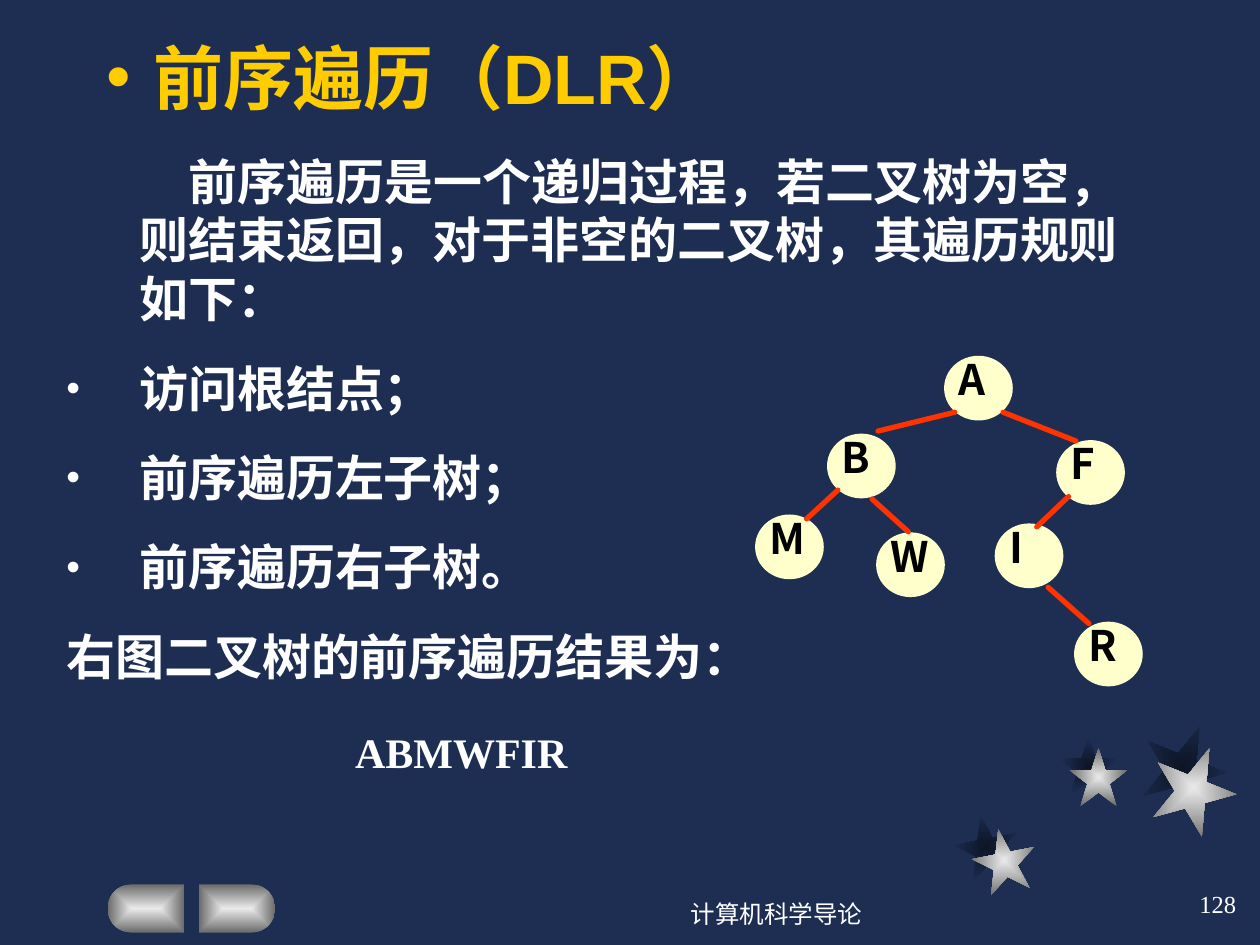
from math import cos, pi, sin

from lxml.etree import SubElement
from pptx import Presentation
from pptx.dml.color import RGBColor
from pptx.enum.shapes import MSO_CONNECTOR, MSO_SHAPE
from pptx.enum.text import MSO_ANCHOR, PP_ALIGN
from pptx.oxml import parse_xml
from pptx.oxml.ns import nsdecls, qn
from pptx.util import Cm, Pt

NAVY, WHITE, GOLD = "1E2E53", "FFFFFF", "FFCC00"
CREAM, RED, BLACK = "FFFFCC", "FF3300", "000000"
SHADE, SILVER = ("0D1526", NAVY), ("EAEAEA", "6B6B6B")
HAN = "Noto Sans CJK SC"
SERIF = "Times New Roman"


def color(code):
    return RGBColor.from_string(code)


def style(para, size, font, code, bold=False):
    for run in para.runs:
        run.font.size = Pt(size)
        run.font.name = font
        run.font.bold = bold
        run.font.color.rgb = color(code)


def indent(para, left, first, code=None, scale=100):
    """Set the margins and, when a colour is given, a bullet."""
    props = para._p.get_or_add_pPr()
    props.set("marL", str(Cm(left)))
    props.set("indent", str(Cm(first)))
    if not code:
        SubElement(props, qn("a:buNone"))
        return
    tint = SubElement(props, qn("a:buClr"))
    SubElement(tint, qn("a:srgbClr"), val=code)
    SubElement(props, qn("a:buSzPct"), val=str(scale * 1000))
    SubElement(props, qn("a:buFont"), typeface="Arial")
    SubElement(props, qn("a:buChar"), char="•")


def glow(shape, inner, outer):
    """Fill from the centre outwards, without line or shadow."""
    shape.shadow.inherit = False
    shape.fill.background()
    shape.line.fill.background()
    old = shape._element.spPr.find(qn("a:noFill"))
    stops = "".join(
        f'<a:gs pos="{pos}"><a:srgbClr val="{code}"/></a:gs>'
        for pos, code in ((0, inner), (100000, outer)))
    old.getparent().replace(old, parse_xml(
        f'<a:gradFill {nsdecls("a")} rotWithShape="1"><a:gsLst>{stops}</a:gsLst>'
        '<a:path path="rect"><a:fillToRect l="50000" t="50000" r="50000" b="50000"/>'
        '</a:path></a:gradFill>'))


def label(shapes, box, text, size, font, code, bold=False,
          align=PP_ALIGN.LEFT, anchor=MSO_ANCHOR.TOP, wrap=True):
    frame = shapes.add_textbox(*map(Cm, box)).text_frame
    frame.word_wrap = wrap
    frame.vertical_anchor = anchor
    frame.text = text
    para = frame.paragraphs[0]
    para.alignment = align
    style(para, size, font, code, bold)
    return frame


def add_stars(slide, left, top):
    shapes = slide.shapes.add_group_shape().shapes
    # Each star: size, turn, place of its shadow, place of its face
    stars = [(1.27, 349, (0, 1.83), (0.36, 2.11)),
             (1.17, 0, (2.11, 0.25), (2.31, 0.48)),
             (1.7, 22, (3.76, 0), (3.96, 0.43))]
    for layer, tones in ((2, SHADE), (3, SILVER)):
        for star in stars:
            size, turn = star[:2]
            x, y = star[layer]
            shape = shapes.add_shape(MSO_SHAPE.STAR_5_POINT, Cm(left + x),
                                     Cm(top + y), Cm(size), Cm(size))
            shape.rotation = turn
            glow(shape, *tones)


def add_button(slide, left, top, width, height, side):
    """Draw a button rounded on its left (-1) or right (1) side."""
    half = height / 2
    flat = left if side > 0 else left + width
    hub = flat + side * (width - half)
    arc = [(hub + side * half * cos(a), top + half + half * sin(a))
           for a in (pi * (i / 20 - 0.5) for i in range(21))]
    pen = slide.shapes.build_freeform(Cm(flat), Cm(top))
    pen.add_line_segments([(Cm(x), Cm(y)) for x, y in arc]
                          + [(Cm(flat), Cm(top + height))], close=True)
    glow(pen.convert_to_shape(), *SILVER)


def add_title(slide, left, top, width, height):
    title = slide.shapes.title
    title.left, title.top = Cm(left), Cm(top)
    title.width, title.height = Cm(width), Cm(height)
    frame = title.text_frame
    frame.vertical_anchor = MSO_ANCHOR.BOTTOM
    frame.text = "前序遍历（DLR）"
    para = frame.paragraphs[0]
    para.alignment = PP_ALIGN.LEFT
    indent(para, 0.94, -0.94, GOLD)
    style(para, 40, "Arial", GOLD, True)


def add_body(slide, *box):
    lines = ["前序遍历是一个递归过程，若二叉树为空，则结束返回，"
             "对于非空的二叉树，其遍历规则如下：",
             "访问根结点；", "前序遍历左子树；", "前序遍历右子树。",
             "右图二叉树的前序遍历结果为："]
    frame = label(slide.shapes, box, lines[0], 28, "Arial", WHITE, True)
    indent(frame.paragraphs[0], 1.47, 1)
    for line in lines[1:]:
        para = frame.add_paragraph()
        para.text = line
        para.space_before = Pt(17.5)
        indent(para, 1.47, -1.47, None if line is lines[-1] else WHITE, 80)
        style(para, 28, "Arial", WHITE, True)


def add_tree(slide, left, top):
    shapes = slide.shapes.add_group_shape().shapes
    nodes = {"A": (3.81, 0), "B": (1.45, 1.57), "F": (6.07, 1.7),
             "M": (0, 3.2), "W": (2.44, 3.56), "I": (4.83, 3.38),
             "R": (6.43, 5.36)}
    # Branches: A-B, A-F, B-M, B-W, F-I, I-R
    edges = [(4.01, 1.12, 2.46, 1.5), (4.98, 1.12, 6.45, 1.7),
             (1.65, 2.69, 1.02, 3.27), (2.34, 2.87, 3.07, 3.53),
             (6.3, 2.82, 5.66, 3.43), (5.89, 4.65, 6.71, 5.38)]
    for name, (x, y) in nodes.items():
        x, y = left + x, top + y
        oval = shapes.add_shape(MSO_SHAPE.OVAL, Cm(x), Cm(y), Cm(1.35), Cm(1.27))
        oval.shadow.inherit = False
        oval.fill.solid()
        oval.fill.fore_color.rgb = color(CREAM)
        oval.line.color.rgb = color(CREAM)
        oval.line.width = Pt(1)
        frame = label(shapes, (x - 0.1, y - 0.06, 1.91, 1.27), name, 24, HAN, BLACK, True)
        frame.margin_left = Cm(0.38)
        frame.margin_top = 0
    for x1, y1, x2, y2 in edges:
        line = shapes.add_connector(MSO_CONNECTOR.STRAIGHT, Cm(left + x1),
                                    Cm(top + y1), Cm(left + x2), Cm(top + y2))
        line.line.color.rgb = color(RED)
        line.line.width = Pt(3)
        line.line._ln.set("cap", "rnd")
        SubElement(line._element.spPr, qn("a:effectLst"))


def add_footer(slide, left, top):
    label(slide.shapes, (left, top + 0.2, 8.05, 1.27), "计算机科学导论", 14,
          SERIF, WHITE, align=PP_ALIGN.CENTER, anchor=MSO_ANCHOR.MIDDLE)
    label(slide.shapes, (left + 8.26, top, 5.28, 1.27), "128", 14,
          SERIF, WHITE, align=PP_ALIGN.RIGHT, anchor=MSO_ANCHOR.MIDDLE)


def main():
    deck = Presentation()
    deck.slide_width, deck.slide_height = Cm(25.4), Cm(19.05)
    slide = deck.slides.add_slide(deck.slide_layouts[5])
    slide.background.fill.solid()
    slide.background.fill.fore_color.rgb = color(NAVY)
    add_stars(slide, 19.25, 14.6)
    add_button(slide, 2.17, 17.83, 1.54, 0.97, -1)
    add_button(slide, 4.01, 17.83, 1.54, 0.97, 1)
    add_title(slide, 1.9, 0.64, 21.59, 1.88)
    add_body(slide, 1.09, 2.92, 22, 11.81)
    add_tree(slide, 15.24, 7.19)
    # Result of the traversal
    label(slide.shapes, (6.91, 14.53, 4.78, 1.27), "ABMWFIR", 24,
          SERIF, WHITE, True, wrap=False)
    add_footer(slide, 11.63, 17.58)
    deck.save("out.pptx")


if __name__ == "__main__":
    main()
